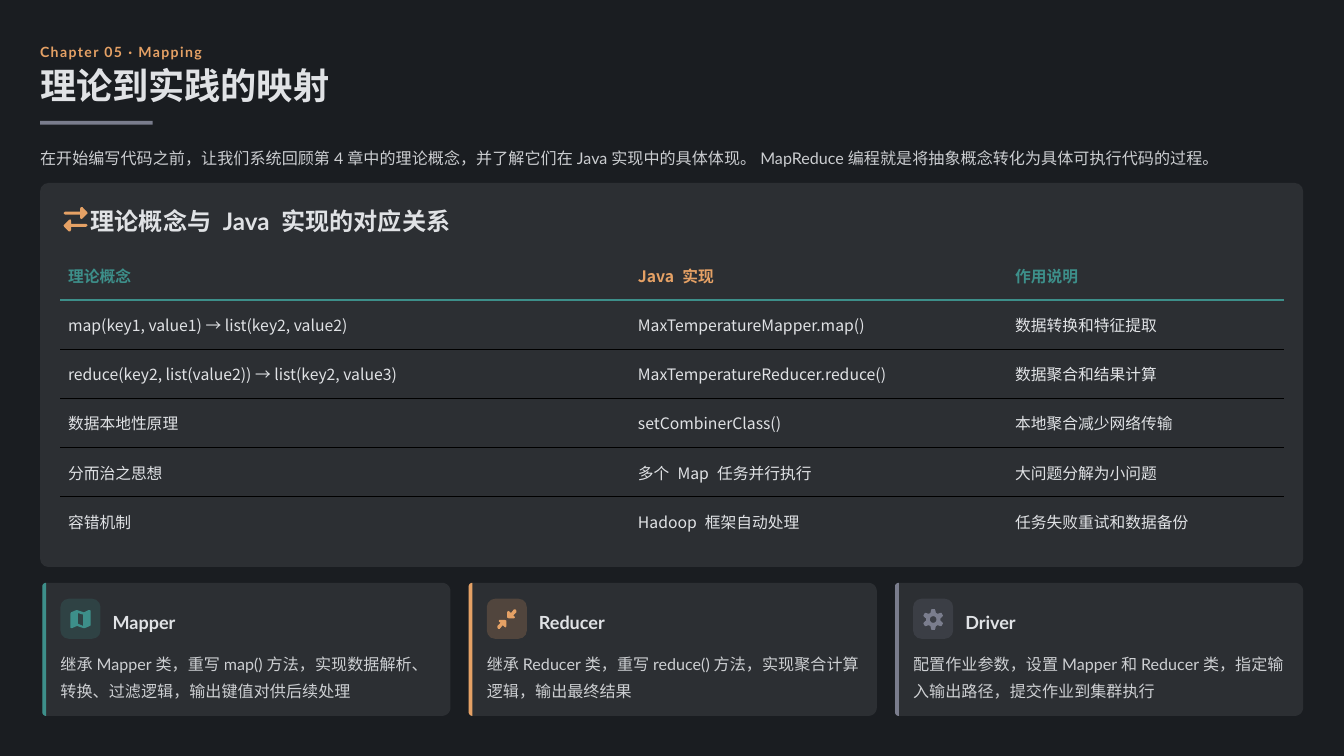
from math import cos, pi, radians, sin

from lxml import etree
from pptx import Presentation
from pptx import util as u
from pptx.dml.color import RGBColor
from pptx.enum import shapes, text
from pptx.oxml import ns

COLORS = {"back": "1A1D21", "panel": "2C2F33", "ink": "E0E2E5", "teal": "3D8F8A",
          "orange": "E5A165", "gray": "7A7D8D", "rule": "000000"}
LATIN, CJK = "Lato", "Noto Sans CJK SC"
PLAIN_TABLE = "{2D5ABB26-0587-4C30-8999-92F81FD0307C}"

ROWS = [
    ("理论概念", "Java 实现", "作用说明"),
    ("map(key1, value1) → list(key2, value2)", "MaxTemperatureMapper.map()", "数据转换和特征提取"),
    ("reduce(key2, list(value2)) → list(key2, value3)", "MaxTemperatureReducer.reduce()",
     "数据聚合和结果计算"),
    ("数据本地性原理", "setCombinerClass()", "本地聚合减少网络传输"),
    ("分而治之思想", "多个 Map 任务并行执行", "大问题分解为小问题"),
    ("容错机制", "Hadoop 框架自动处理", "任务失败重试和数据备份"),
]


def turned(points, width, height):
    """Return the points after half a turn within a width by height box."""
    return [(width - x, height - y) for x, y in points]


def ring(steps, center=(13.5, 13.5)):
    """Turn (radius, degrees) steps into points around the center."""
    return [(center[0] + r * sin(radians(a)), center[1] - r * cos(radians(a))) for r, a in steps]


# Icon outlines, in hundredths of an inch from the icon's top left corner
ARROW = [(31, 9), (25, 15), (23, 16), (22, 14), (22, 10), (2, 10), (0, 8), (2, 6),
         (22, 6), (22, 2), (23, 0), (25, 0), (31, 6), (32, 8)]
INWARD = [(23, 0), (25, 0), (26, 2), (26, 4), (22, 8), (24, 10), (24, 11), (23, 12),
          (16, 12), (14, 11), (14, 4), (15, 2), (17, 3), (19, 5)]
SHEET = [(27, 2), (26, 1), (24, 1), (18, 4), (9, 1), (8, 1), (1, 4), (0, 6), (0, 24),
         (1, 25), (2, 25), (9, 22), (18, 25), (19, 25), (26, 22), (27, 21)]
FOLD = [(10, 19), (10, 5), (17, 7), (17, 22)]
TOOTH = [(9.5, -22), (13, -12), (14, -8), (14, 8), (13, 12), (9.5, 22)]
GEAR = ring([(r, a + 60 * k) for k in range(6) for r, a in TOOTH])
HUB = ring([(4.5, -30 * k) for k in range(12)])
SWAP_ICON = [ARROW, turned(ARROW, 32, 32)]

CARDS = [
    ("Mapper", "继承Mapper类，重写map()方法，实现数据解析、转换、过滤逻辑，输出键值对供后续处理",
     "teal", [SHEET, FOLD]),
    ("Reducer", "继承Reducer类，重写reduce()方法，实现聚合计算逻辑，输出最终结果",
     "orange", [INWARD, turned(INWARD, 27, 26)]),
    ("Driver", "配置作业参数，设置Mapper和Reducer类，指定输入输出路径，提交作业到集群执行",
     "gray", [GEAR, HUB]),
]


def rgb(name):
    return RGBColor.from_string(COLORS[name])


def set_alpha(item, percent):
    for color in item.element.xpath(".//a:srgbClr"):
        etree.SubElement(color, ns.qn("a:alpha")).set("val", str(percent * 1000))


def paint(shape, color):
    shape.shadow.inherit = False
    shape.fill.solid()
    shape.fill.fore_color.rgb = rgb(color)
    shape.line.fill.background()
    return shape


def write(frame, words, size, color="ink", bold=False, spacing=None, font=LATIN, track=None):
    para = frame.paragraphs[0]
    para.alignment = text.PP_ALIGN.LEFT
    para.line_spacing = spacing
    span = para.add_run()
    span.text = words
    formats = {"size": u.Pt(size), "bold": bold, "name": font}
    for key, value in formats.items():
        setattr(span.font, key, value)
    span.font.color.rgb = rgb(color)
    properties = span.font._element
    etree.SubElement(properties, ns.qn("a:ea")).set("typeface", CJK)
    if track:
        properties.set("spc", str(int(track * 100)))


def fit(box, left, top, width, height):
    """Place a text-bearing box and clear its insets."""
    places = {"left": left, "top": top, "width": width, "height": height}
    for key, value in places.items():
        setattr(box, key, u.Inches(value))
    frame = box.text_frame
    formats = {"margin_left": 0, "margin_right": 0, "margin_top": 0, "margin_bottom": 0,
               "word_wrap": True, "auto_size": text.MSO_AUTO_SIZE.NONE,
               "vertical_anchor": text.MSO_ANCHOR.MIDDLE}
    for key, value in formats.items():
        setattr(frame, key, value)
    return frame


def add_text(page, place, words, size, alpha=None, **style):
    box = page.shapes.add_textbox(0, 0, 0, 0)
    write(fit(box, *place), words, size, **style)
    if alpha:
        set_alpha(box, alpha)


def add_block(page, left, top, width, height, color, radius=0):
    kind = shapes.MSO_SHAPE.ROUNDED_RECTANGLE if radius else shapes.MSO_SHAPE.RECTANGLE
    block = page.shapes.add_shape(kind, *map(u.Inches, (left, top, width, height)))
    if radius:
        block.adjustments[0] = radius / min(width, height)
    return paint(block, color)


def add_outline(page, left, top, contours, color):
    """Draw closed contours, given in inches from left and top, as one shape."""
    scaled = [[(u.Inches(left + x), u.Inches(top + y)) for x, y in points] for points in contours]
    builder = page.shapes.build_freeform(*scaled[0][0])
    for index, points in enumerate(scaled):
        if index:
            builder.move_to(*points[0])
        builder.add_line_segments(points[1:], close=True)
    paint(builder.convert_to_shape(), color)


def add_icon(page, left, top, contours, color):
    inches = [[(x / 100, y / 100) for x, y in points] for points in contours]
    add_outline(page, left, top, inches, color)


def add_side_rounded(page, left, top, width, height, near, far, color):
    """Draw a box whose left corners have radius near and right corners far."""
    corners = [(near, near, near, 2), (width - far, far, far, 3),
               (width - far, height - far, far, 0), (near, height - near, near, 1)]
    points = [(x + r * cos(pi / 2 * (turn + k / 8)), y + r * sin(pi / 2 * (turn + k / 8)))
              for x, y, r, turn in corners for k in range(9 if r else 1)]
    add_outline(page, left, top, [points], color)


def add_header(page, left, top, width):
    add_text(page, (left, top, width, 0.27), "Chapter 05 · Mapping", 13.4,
             color="orange", bold=True, spacing=1.2, track=1.3)
    write(fit(page.shapes.title, left, top + 0.37, width, 0.53), "理论到实践的映射", 34.5,
          bold=True, spacing=0.9)
    add_block(page, left, top + 1.07, 1.49, 0.05, "gray")
    add_text(page, (left, top + 1.33, width, 0.35),
             "在开始编写代码之前，让我们系统回顾第4章中的理论概念，并了解它们在Java实现中的具体体现。"
             "MapReduce编程就是将抽象概念转化为具体可执行代码的过程。", 15.3, alpha=90, spacing=1.4)


def set_borders(cell, **borders):
    """Give each side a (color, points) line, or none."""
    properties = cell._tc.get_or_add_tcPr()
    for index, side in enumerate("LRTB"):
        line = etree.Element(ns.qn(f"a:ln{side}"))
        if side in borders:
            color, points = borders[side]
            line.set("w", str(u.Pt(points)))
            fill = etree.SubElement(line, ns.qn("a:solidFill"))
            etree.SubElement(fill, ns.qn("a:srgbClr")).set("val", COLORS[color])
        else:
            etree.SubElement(line, ns.qn("a:noFill"))
        properties.insert(index, line)


def add_mapping_table(page, left, top, widths, row_height):
    frame = page.shapes.add_table(len(ROWS), len(widths), *map(
        u.Inches, (left, top, sum(widths), row_height * len(ROWS))))
    table = frame.table
    table.first_row = table.horz_banding = False
    table._tbl.tblPr.find(ns.qn("a:tableStyleId")).text = PLAIN_TABLE
    for column, width in zip(table.columns, widths):
        column.width = u.Inches(width)
    rules = [("teal", 2)] + [("rule", 1)] * (len(ROWS) - 2)
    for r, row in enumerate(ROWS):
        table.rows[r].height = u.Inches(row_height)
        borders = {}
        if r:
            borders["T"] = rules[r - 1]
        if r < len(rules):
            borders["B"] = rules[r]
        for c, words in enumerate(row):
            cell = table.cell(r, c)
            cell.vertical_anchor = text.MSO_ANCHOR.MIDDLE
            cell.fill.background()
            color = "ink" if r else ("teal", "orange", "teal")[c]
            write(cell.text_frame, words, 15, color=color, bold=r == 0, font=CJK)
            set_borders(cell, **borders)


def add_mapping_panel(page, left, top, width, height):
    add_block(page, left, top, width, height, "panel", 0.11)
    add_icon(page, left + 0.31, top + 0.32, SWAP_ICON, "orange")
    add_text(page, (left + 0.67, top + 0.27, width - 0.77, 0.43),
             "理论概念与 Java 实现的对应关系", 23, bold=True, spacing=1.1)
    add_mapping_table(page, left + 0.27, top + 0.9, (7.54, 4.99, 3.66), 0.65)


def add_card(page, left, top, width, height, name, words, color, icon):
    add_side_rounded(page, left, top, width, height, 0.05, 0.11, "panel")
    add_side_rounded(page, left, top, 0.05, height, 0.05, 0, color)
    set_alpha(add_block(page, left + 0.24, top + 0.21, 0.53, 0.53, color, 0.11), 20)
    add_icon(page, left + 0.37, top + 0.35, icon, color)
    add_text(page, (left + 0.93, top + 0.29, 1.5, 0.37), name, 17.2, bold=True, spacing=1.3)
    add_text(page, (left + 0.24, top + 0.85, width - 0.35, 0.69), words, 15.3,
             alpha=90, spacing=1.4)


def main():
    deck = Presentation()
    deck.slide_width, deck.slide_height = u.Inches(17.78), u.Inches(10)
    page = deck.slides.add_slide(deck.slide_layouts[5])
    page.background.fill.solid()
    page.background.fill.fore_color.rgb = rgb("back")
    add_header(page, 0.53, 0.53, 16.82)
    add_mapping_panel(page, 0.53, 2.42, 16.71, 5.08)
    for index, card in enumerate(CARDS):
        add_card(page, 0.56 + 5.64 * index, 7.71, 5.4, 1.76, *card)
    deck.save("out.pptx")


if __name__ == "__main__":
    main()
